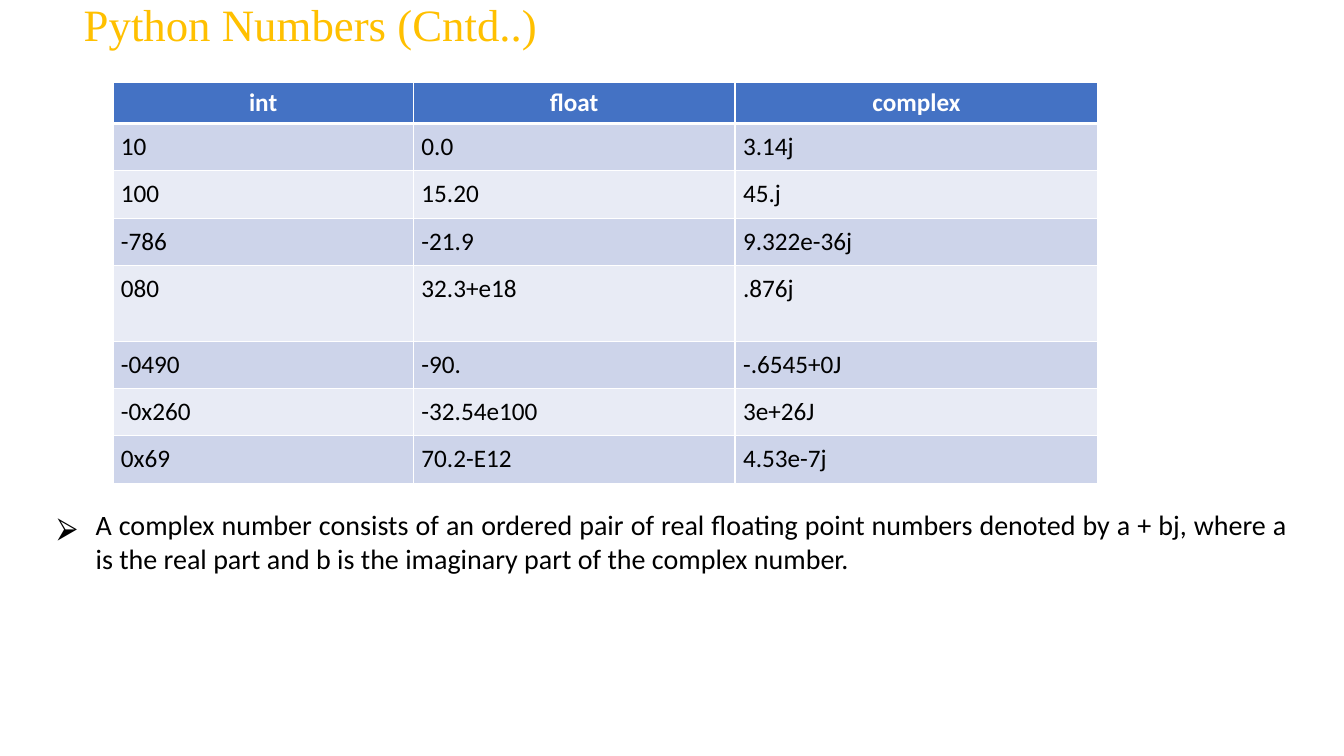
from lxml import etree
from pptx import Presentation
from pptx.dml.color import RGBColor
from pptx.enum import text as t
from pptx.oxml import ns
from pptx.util import Inches, Pt

WIDE, HIGH = 13.33, 7.5
HUES = {"title": "FFC000", "head": "4472C4", "odd": "CDD4EA",
        "even": "E8EBF5", "ink": "000000", "line": "FFFFFF"}
COLS = [2.98, 3.19, 3.6]
HEAD, ROW, TALL = 0.4, 0.47, 0.75
DATA = [
    ("int", "float", "complex"),
    ("10", "0.0", "3.14j"),
    ("100", "15.20", "45.j"),
    ("-786", "-21.9", "9.322e-36j"),
    ("080", "32.3+e18", ".876j"),
    ("-0490", "-90.", "-.6545+0J"),
    ("-0x260", "-32.54e100", "3e+26J"),
    ("0x69", "70.2-E12", "4.53e-7j"),
]
NOTE = ("A complex number consists of an ordered pair of real floating point "
        "numbers denoted by a + bj, where a is the real part and b is the "
        "imaginary part of the complex number.")


def paint(hue):
    return RGBColor.from_string(HUES[hue])


def write(frame, words, size=18, font="Calibri", hue="ink", bold=False,
          align=t.PP_ALIGN.LEFT):
    para = frame.paragraphs[0]
    para.alignment = align
    run = para.add_run()
    run.text = words
    run.font.size, run.font.name, run.font.bold = Pt(size), font, bold
    run.font.color.rgb = paint(hue)
    return para


def node(base, tag, **keys):
    return etree.SubElement(base, ns.qn(tag), **keys)


def edge(cell, low):
    """Draw four white borders, the lower one of the given width."""
    props = cell._tc.get_or_add_tcPr()
    for side in "LRTB":
        width = Pt(low if side == "B" else 1)
        line = node(props, "a:ln" + side, w=str(width))
        node(node(line, "a:solidFill"), "a:srgbClr", val=HUES["line"])


def add_title(slide, box):
    title = slide.shapes.title
    title.left, title.top, title.width, title.height = map(Inches, box)
    frame = title.text_frame
    frame.vertical_anchor = t.MSO_ANCHOR.MIDDLE
    para = write(frame, "Python Numbers (Cntd..)", size=32,
                 font="Times New Roman", hue="title")
    para.line_spacing = 0.9


def add_grid(slide, box):
    grid = slide.shapes.add_table(len(DATA), len(COLS), *map(Inches, box)).table
    for col, width in zip(grid.columns, COLS):
        col.width = Inches(width)
    for r, words in enumerate(DATA):
        top = r == 0
        grid.rows[r].height = Inches(HEAD if top else TALL if r == 4 else ROW)
        for c, word in enumerate(words):
            cell = grid.cell(r, c)
            edge(cell, 3 if top else 1)
            cell.fill.solid()
            cell.fill.fore_color.rgb = paint(
                "head" if top else "odd" if r % 2 else "even")
            cell.margin_left = cell.margin_right = Inches(0.1 if top else 0.08)
            cell.margin_top = cell.margin_bottom = Inches(0.05 if top else 0.08)
            write(cell.text_frame, word, bold=top, hue="line" if top else "ink",
                  align=t.PP_ALIGN.CENTER if top else t.PP_ALIGN.LEFT)


def add_note(slide, box):
    frame = slide.shapes.add_textbox(*map(Inches, box)).text_frame
    frame.word_wrap = True
    frame.auto_size = t.MSO_AUTO_SIZE.SHAPE_TO_FIT_TEXT
    para = write(frame, NOTE, size=20, align=t.PP_ALIGN.JUSTIFY)
    # Hanging arrow bullet
    props = para._p.get_or_add_pPr()
    props.set("marL", str(Inches(0.38)))
    props.set("indent", str(Inches(-0.38)))
    node(node(props, "a:buClr"), "a:srgbClr", val=HUES["ink"])
    node(props, "a:buFont", typeface="Noto Sans Symbols")
    node(props, "a:buChar", char="⮚")


def main():
    deck = Presentation()
    deck.slide_width, deck.slide_height = Inches(WIDE), Inches(HIGH)
    slide = deck.slides.add_slide(deck.slide_layouts[5])
    add_title(slide, (0.73, 0, 10.63, 0.53))
    tall = HEAD + TALL + ROW * (len(DATA) - 2)
    add_grid(slide, (1.12, 0.82, sum(COLS), tall))
    add_note(slide, (0.47, 4.99, 12.4, 0.77))
    deck.save("out.pptx")


if __name__ == "__main__":
    main()
